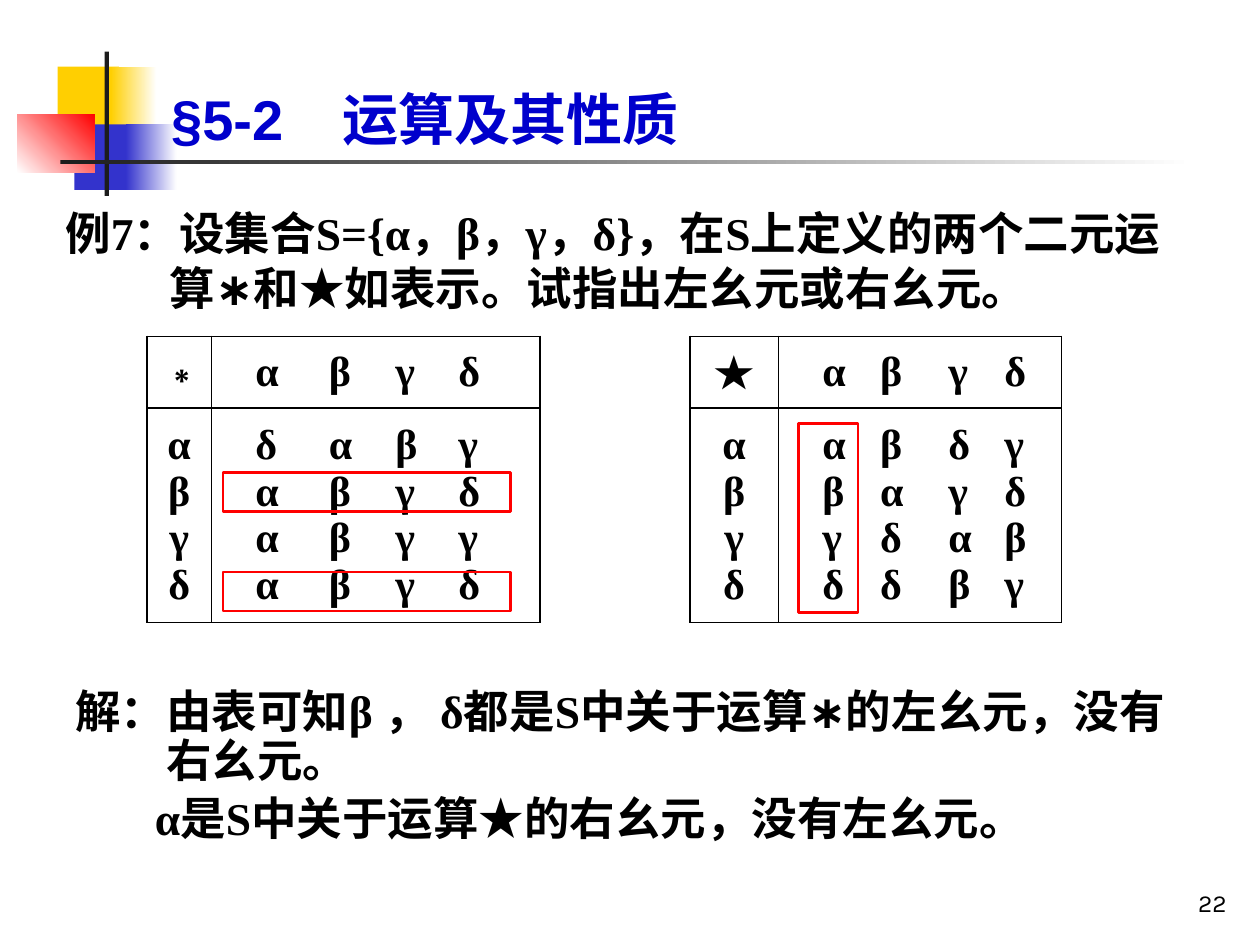
from dataclasses import dataclass
from lxml import etree
from pptx import Presentation
from pptx.dml.color import RGBColor
from pptx.enum.shapes import MSO_SHAPE
from pptx.enum.text import MSO_ANCHOR, PP_ALIGN
from pptx.oxml.ns import qn
from pptx.util import Pt

RECT = MSO_SHAPE.RECTANGLE
TOP, MIDDLE, BOTTOM = MSO_ANCHOR.TOP, MSO_ANCHOR.MIDDLE, MSO_ANCHOR.BOTTOM
LEFT, CENTER, RIGHT = PP_ALIGN.LEFT, PP_ALIGN.CENTER, PP_ALIGN.RIGHT


@dataclass(frozen=True)
class Theme:
    black: str = "000000"
    dark: str = "1C1C1C"
    white: str = "FFFFFF"
    gold: str = "FFCF01"
    blue: str = "3333CC"
    title: str = "0000CC"
    red: str = "FF0000"
    head: str = "Arial"
    serif: str = "Times New Roman"
    num: str = "Karla"
    big: int = 32
    body: int = 26
    cell: int = 24
    small: int = 14


T = Theme()

# Content
TITLE = "§5-2\t运算及其性质"
TASK = "例7：设集合S={α，β，γ，δ}，在S上定义的两个二元运算∗和★如表示。试指出左幺元或右幺元。"
ANSWER = [  # text, left margin, first-line indent
    ("解：由表可知β ， δ都是S中关于运算∗的左幺元，没有右幺元。", 52, -52),
    ("α是S中关于运算★的右幺元，没有左幺元。", 45.4, 0),
]
PAGE = "22"
SET = "αβγδ"
TABLES = [  # sign, sign size, products by row, tab stops, first column
    ("∗", T.body, ["δαβγ", "αβγδ", "αβγγ", "αβγδ"], (18, 60, 98, 134), 0),
    ("★", T.cell, ["αβδγ", "βαγδ", "γδαβ", "δδβγ"], (18, 51, 90, 122), 3),
]
COLS = (36.8, 187.8, 85.6, 50.6, 161.9)
ROWS = (41, 122.4)
GAP = 2

# Corner ornament: box, colour(s), angle
DECOR = [
    ((33, 38, 35, 37.5), (T.gold,), 0),
    ((63.4, 38, 26, 37.5), (T.gold, T.white), 0),
    ((42.5, 71, 33, 37.5), (T.blue,), 0),
    ((72, 71, 29, 37.5), (T.blue, T.white), 0),
    ((10, 65.2, 44, 33.5), (T.white, T.red), 45),
    ((59.8, 29.5, 2.4, 82.5), (T.dark,), 0),
    ((34.5, 91.4, 648, 2.5), (T.dark, T.white), 0),
]
MARKS = [
    (127.4, 270, 164.2, 22.3),
    (127.4, 326.9, 164.2, 22.3),
    (456.5, 241.9, 33.8, 108),
]


def rgb(code):
    return RGBColor.from_string(code)


def rect(slide, box):
    shape = slide.shapes.add_shape(RECT, *map(Pt, box))
    shape.shadow.inherit = False
    return shape


def paint(shape, tints, angle):
    shape.line.fill.background()
    if len(tints) == 1:
        shape.fill.solid()
        shape.fill.fore_color.rgb = rgb(tints[0])
        return
    shape.fill.gradient()
    shape.fill.gradient_angle = angle
    for stop, tint in zip(shape.fill.gradient_stops, tints):
        stop.color.rgb = rgb(tint)


def style(para, size, font=T.serif, tint=T.black, bold=True, align=LEFT):
    para.alignment = align
    for run in para.runs:
        run.font.size = Pt(size)
        run.font.name = font
        run.font.bold = bold
        run.font.color.rgb = rgb(tint)


def indent(para, left, first):
    props = para._p.get_or_add_pPr()
    props.set("marL", str(Pt(left)))
    props.set("indent", str(Pt(first)))


def tabs(para, stops):
    group = etree.SubElement(para._p.get_or_add_pPr(), qn("a:tabLst"))
    for stop in stops:
        etree.SubElement(group, qn("a:tab"), pos=str(Pt(stop)), algn="l")


def textbox(slide, box, lines, anchor=TOP):
    frame = slide.shapes.add_textbox(*map(Pt, box)).text_frame
    frame.word_wrap = True
    frame.vertical_anchor = anchor
    frame.text = "\n".join(lines)
    return frame.paragraphs


def border(cell, sides):
    props = cell._tc.get_or_add_tcPr()
    for side in "LRTB":
        line = etree.SubElement(props, qn("a:ln" + side), w=str(Pt(1)))
        if side in sides:
            fill = etree.SubElement(line, qn("a:solidFill"))
            etree.SubElement(fill, qn("a:srgbClr"), val=T.black)
        else:
            etree.SubElement(line, qn("a:noFill"))


def fill_cell(cell, lines, size=T.cell, stops=()):
    cell.vertical_anchor = MIDDLE
    cell.text = "\n".join(lines)
    for para in cell.text_frame.paragraphs:
        style(para, size, align=LEFT if stops else CENTER)
        if stops:
            tabs(para, stops)


def spread(row):
    return "".join("\t" + sign for sign in row)


def add_tables(slide):
    box = (84, 192.2, sum(COLS), sum(ROWS))
    grid = slide.shapes.add_table(len(ROWS), len(COLS), *map(Pt, box)).table
    grid.first_row = grid.horz_banding = False
    for col, width in zip(grid.columns, COLS):
        col.width = Pt(width)
    for row, height in zip(grid.rows, ROWS):
        row.height = Pt(height)
    for r in range(len(ROWS)):
        for c in range(len(COLS)):
            cell = grid.cell(r, c)
            border(cell, "LR" if c == GAP else "LRTB")
            cell.fill.background()
    for sign, size, rows, stops, col in TABLES:
        fill_cell(grid.cell(0, col), [sign], size)
        fill_cell(grid.cell(0, col + 1), [spread(SET)], stops=stops)
        fill_cell(grid.cell(1, col), SET)
        fill_cell(grid.cell(1, col + 1), map(spread, rows), stops=stops)


def main():
    deck = Presentation()
    deck.slide_width, deck.slide_height = Pt(720), Pt(540)
    slide = deck.slides.add_slide(deck.slide_layouts[6])

    # Ornament and page number
    for box, tints, angle in DECOR:
        paint(rect(slide, box), tints, angle)
    para = textbox(slide, (558, 491.8, 150, 36), [PAGE], BOTTOM)[0]
    style(para, T.small, T.num, bold=False, align=RIGHT)

    # Title
    para = textbox(slide, (90.7, 0, 613.4, 90), [TITLE], BOTTOM)[0]
    style(para, T.big, T.head, T.title)
    tabs(para, [98])

    # Task
    para = textbox(slide, (30.2, 113.8, 664.6, 84.2), [TASK])[0]
    style(para, T.body)
    indent(para, 59.8, -59.8)
    para.space_before = Pt(5.2)

    add_tables(slide)

    # Answer
    lines = [text for text, _, _ in ANSWER]
    paras = textbox(slide, (36, 390.2, 648, 98), lines)
    for para, (_, left, first) in zip(paras, ANSWER):
        style(para, T.body)
        indent(para, left, first)
        para.line_spacing = 0.9
        para.space_before = Pt(5.2)

    # Frames around the identity rows and column
    for box in MARKS:
        mark = rect(slide, box)
        mark.fill.background()
        mark.line.color.rgb = rgb(T.red)
        mark.line.width = Pt(1.5)

    deck.save("out.pptx")


if __name__ == "__main__":
    main()
